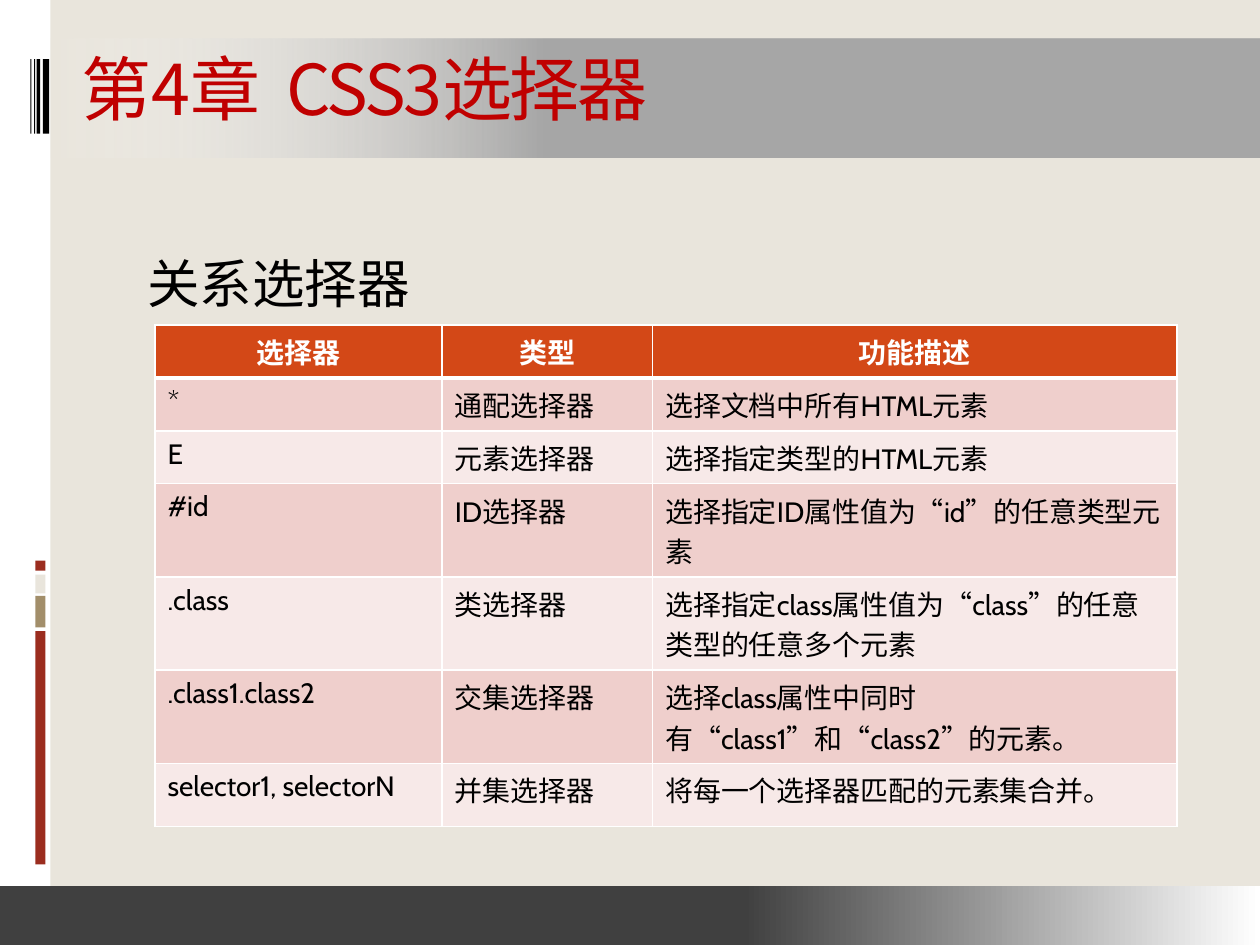
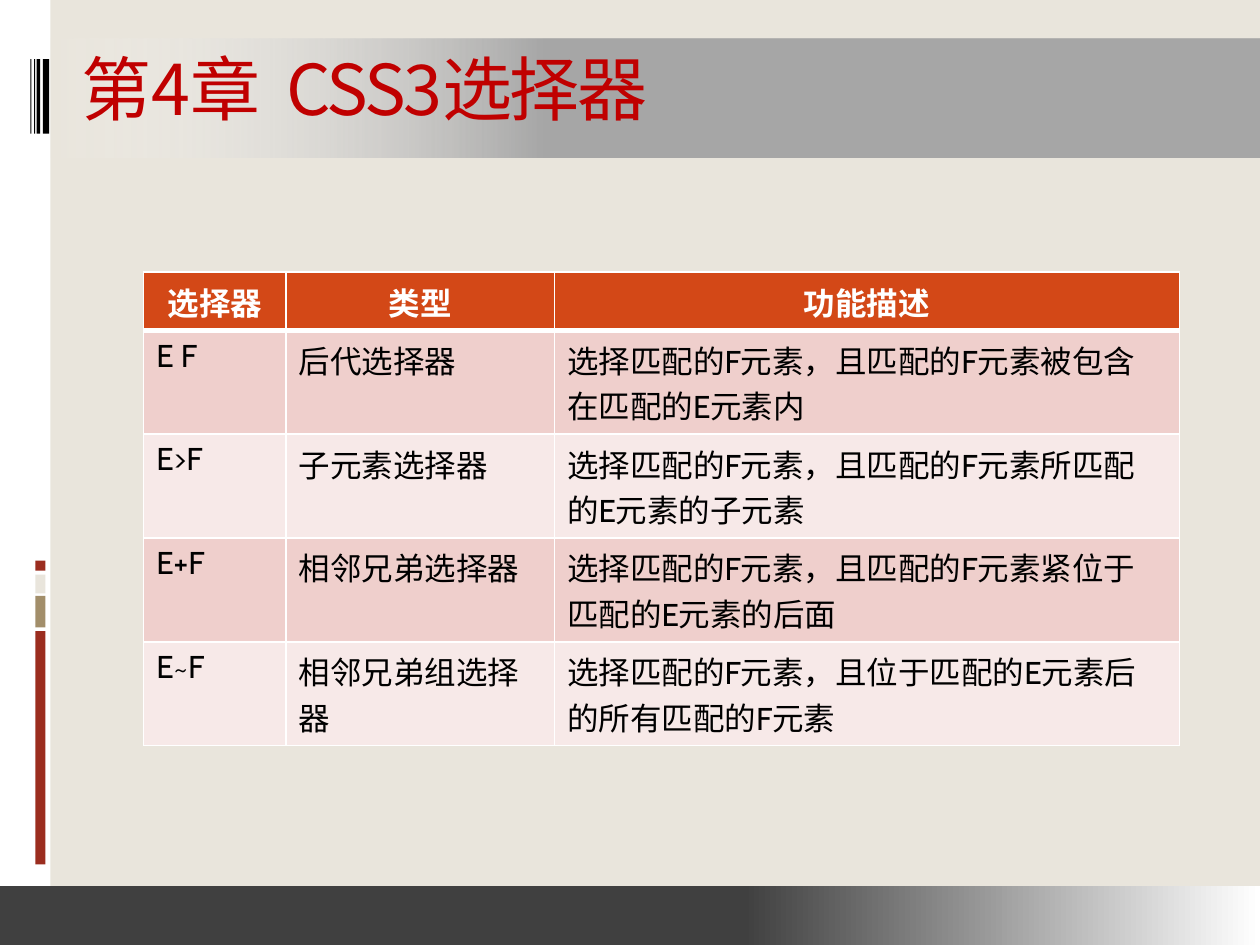
from lxml.etree import SubElement
from pptx import Presentation
from pptx.dml.color import RGBColor
from pptx.enum.shapes import MSO_SHAPE
from pptx.enum.text import MSO_ANCHOR, MSO_AUTO_SIZE, PP_ALIGN
from pptx.oxml.ns import qn
from pptx.util import Inches, Pt

BACKGROUND, WHITE, BLACK = "E9E5DC", "FFFFFF", "000000"
RUST, TAN, TITLE_RED, HEADER = "9B2D1F", "A28E6A", "C00000", "D34817"
ROW_FILLS = ["EFCFCC", "F7E9E8"]
TITLE = "第4章  CSS3选择器"
HEADINGS = ("选择器", "类型", "功能描述")

# left, top, width, height, colour
SIDE_BARS = [
    (0, 0, 0.4, 7.5, WHITE),
    (0.28, 5.01, 0.08, 1.85, RUST),
    (0.28, 4.73, 0.08, 0.25, TAN),
    (0.28, 4.56, 0.08, 0.15, BACKGROUND),
    (0.28, 4.45, 0.08, 0.08, RUST),
] + [(x, 0.47, w, 0.59, BLACK)
     for x, w in [(0.34, 0.05), (0.29, 0.03), (0.27, 0.01), (0.24, 0.01)]]
# left, top, width, height, colour, rotation, opacity of the white end
BANDS = [
    (0.39, 0.31, 9.61, 0.94, "A6A6A6", 180, 0),
    (0, 7.03, 10, 0.47, "404040", 0, 100),
]

SLIDES = [
    {
        "subtitle": "关系选择器",
        "at": (1.23, 2.58),
        "cols": [2.28, 1.67, 4.16],
        "rows": [0.42] * 3 + [0.74] * 3 + [0.5],
        "size": 16,
        "body": [
            ("*", "通配选择器", "选择文档中所有HTML元素"),
            ("E", "元素选择器", "选择指定类型的HTML元素"),
            ("#id", "ID选择器", "选择指定ID属性值为“id”的任意类型元素"),
            (".class", "类选择器", "选择指定class属性值为“class”的任意类型的任意多个元素"),
            (".class1.class2", "交集选择器", "选择class属性中同时有“class1”和“class2”的元素。"),
            ("selector1, selectorN", "并集选择器", "将每一个选择器匹配的元素集合并。"),
        ],
    },
    {
        "subtitle": None,
        "at": (1.14, 2.16),
        "cols": [1.13, 2.13, 4.96],
        "rows": [0.42] * 5,
        "size": 18,
        "body": [
            ("E F", "后代选择器", "选择匹配的F元素，且匹配的F元素被包含在匹配的E元素内"),
            ("E>F", "子元素选择器", "选择匹配的F元素，且匹配的F元素所匹配的E元素的子元素"),
            ("E+F", "相邻兄弟选择器", "选择匹配的F元素，且匹配的F元素紧位于匹配的E元素的后面"),
            ("E~F", "相邻兄弟组选择器", "选择匹配的F元素，且位于匹配的E元素后的所有匹配的F元素"),
        ],
    },
]


def rgb(color):
    return RGBColor.from_string(color)


def write(tf, text, size, color, font="Cabin", bold=False, align=PP_ALIGN.LEFT):
    """Fill a text frame with one formatted paragraph and return the paragraph."""
    tf.text = text
    p = tf.paragraphs[0]
    p.alignment = align
    f = p.runs[0].font
    f.name, f.size, f.bold = font, Pt(size), bold
    f.color.rgb = rgb(color)
    return p


prs = Presentation()
prs.slide_width, prs.slide_height = Inches(10), Inches(7.5)

for content in SLIDES:
    s = prs.slides.add_slide(prs.slide_layouts[5])
    s.background.fill.solid()
    s.background.fill.fore_color.rgb = rgb(BACKGROUND)

    for *box, color in SIDE_BARS:
        sp = s.shapes.add_shape(MSO_SHAPE.RECTANGLE, *map(Inches, box))
        sp.shadow.inherit = False
        sp.fill.solid()
        sp.fill.fore_color.rgb = rgb(color)
        sp.line.fill.background()

    for *box, color, rotation, opacity in BANDS:
        sp = s.shapes.add_shape(MSO_SHAPE.RECTANGLE, *map(Inches, box))
        sp.shadow.inherit = False
        sp.rotation = rotation
        sp.line.fill.background()
        sp.fill.gradient()
        sp.fill.gradient_angle = 0
        start, end = sp.fill.gradient_stops
        start.position, end.position = 0.59, 1
        start.color.rgb, end.color.rgb = rgb(color), rgb(WHITE)
        if opacity < 100:
            white = list(sp.element.iter(qn("a:srgbClr")))[-1]
            SubElement(white, qn("a:alpha"), val=str(opacity * 1000))

    # The title goes in front of the band
    title = s.shapes.title
    s.shapes.element.append(title.element)
    title.left, title.top = Inches(0.55), Inches(0.31)
    title.width, title.height = Inches(8.5), Inches(0.77)
    tf = title.text_frame
    tf.auto_size = MSO_AUTO_SIZE.NONE
    tf.vertical_anchor = MSO_ANCHOR.MIDDLE
    p = write(tf, TITLE, 40, TITLE_RED, font="Noto Sans CJK SC")
    rPr = p.runs[0].font._element
    rPr.set("spc", "-150")
    SubElement(rPr, qn("a:ea"), typeface="Noto Sans CJK SC")

    if content["subtitle"]:
        sp = s.shapes.add_textbox(Inches(1.07), Inches(2), Inches(8.43), Inches(0.6))
        sp.text_frame.word_wrap = True
        p = write(sp.text_frame, content["subtitle"], 30, BLACK)
        p.line_spacing = 0.9

    cols, rows = content["cols"], content["rows"]
    box = (*content["at"], sum(cols), sum(rows))
    table = s.shapes.add_table(len(rows), len(cols), *map(Inches, box)).table
    for column, width in zip(table.columns, cols):
        column.width = Inches(width)
    for row, height in zip(table.rows, rows):
        row.height = Inches(height)

    for i, texts in enumerate([HEADINGS] + content["body"]):
        for j, text in enumerate(texts):
            cell = table.cell(i, j)
            header = i == 0
            write(cell.text_frame, text, content["size"], WHITE if header else BLACK,
                  bold=header, align=PP_ALIGN.CENTER if header else PP_ALIGN.LEFT)
            tcPr = cell._tc.get_or_add_tcPr()
            for side in "LRTB":
                thick = (header and side == "B") or (i == 1 and side == "T")
                ln = SubElement(tcPr, qn(f"a:ln{side}"), w=str(Pt(3 if thick else 1)))
                fill = SubElement(ln, qn("a:solidFill"))
                SubElement(fill, qn("a:srgbClr"), val=WHITE)
            cell.fill.solid()
            cell.fill.fore_color.rgb = rgb(HEADER if header else ROW_FILLS[(i - 1) % 2])

prs.save("out.pptx")
